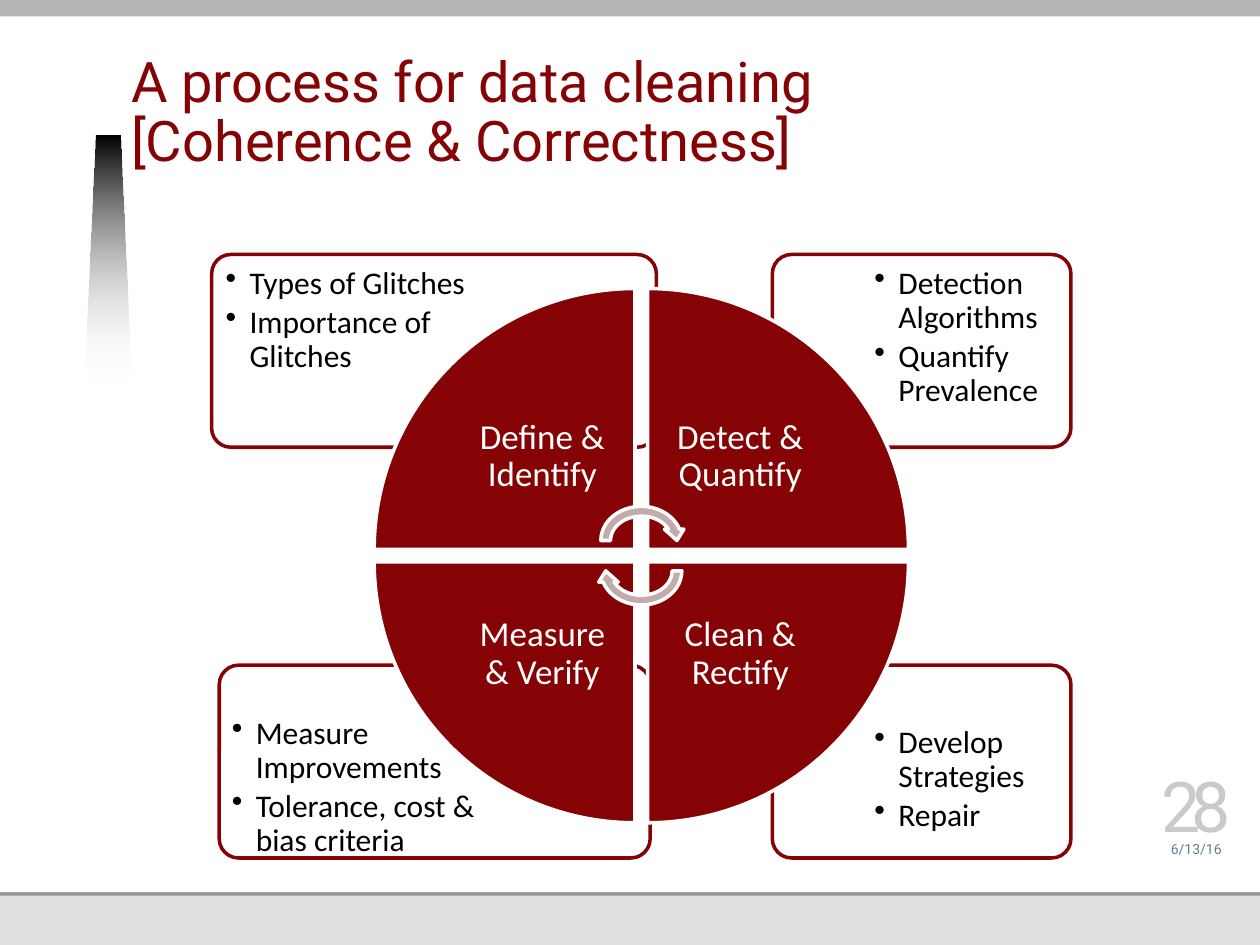
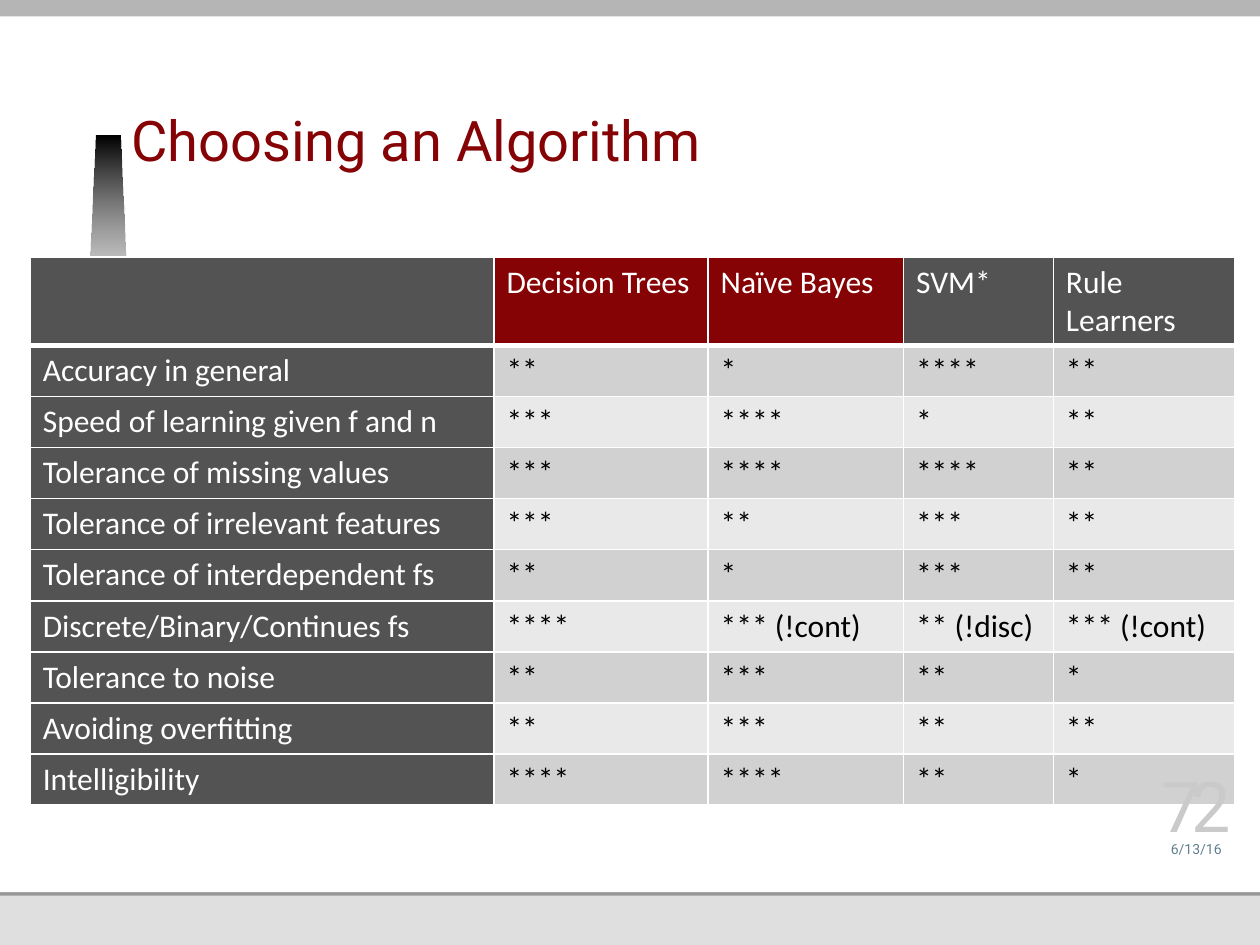
"""Build two slides on data cleaning and on choosing an algorithm."""
from dataclasses import dataclass

from lxml import etree
from pptx import Presentation
from pptx import util as u
from pptx.dml.color import RGBColor
from pptx.enum import shapes, text
from pptx.oxml.ns import qn

PX = u.Inches(1) // 100
KIND = shapes.MSO_SHAPE


@dataclass(frozen=True)
class Theme:
    """Colours, fonts and type sizes of the deck."""
    accent: str = "850205"
    white: str = "FFFFFF"
    black: str = "000000"
    footer: str = "DFDFDF"
    footer_edge: str = "989898"
    top_band: str = "B5B5B5"
    arrow: str = "C2ABAB"
    heading: str = "535353"
    bands: tuple = ("D1D1D1", "E9E9E9")
    date: str = "618091"
    number: str = "CACACA"
    display: str = "Roboto"
    body: str = "Calibri"
    title_size: int = 32
    body_size: int = 18
    wedge_size: int = 20
    date_size: int = 8
    number_size: int = 40


THEME = Theme()

PANELS = [
    ((613, 528, 237, 153), (687, 569, 159, 108), 7,
     ["Develop Strategies", "Repair"]),
    ((174, 528, 342, 153), (177, 569, 233, 108), 0,
     ["Measure Improvements", "Tolerance, cost & bias criteria"]),
    ((613, 202, 237, 153), (687, 205, 159, 108), 7,
     ["Detection Algorithms", "Quantify Prevalence"]),
    ((168, 202, 353, 153), (172, 205, 241, 108), 7,
     ["Types of Glitches", "Importance of Glitches"]),
]

WEDGES = [
    ("Define & Identify", 0, 0),
    ("Detect & Quantify", 1, 0),
    ("Clean & Rectify", 1, 1),
    ("Measure & Verify", 0, 1),
]

RATINGS = [
    ["", "Decision Trees", "Naïve Bayes", "SVM*", "Rule Learners"],
    ["Accuracy in general", "**", "*", "****", "**"],
    ["Speed of learning given f and n", "***", "****", "*", "**"],
    ["Tolerance of missing values", "***", "****", "****", "**"],
    ["Tolerance of irrelevant features", "***", "**", "***", "**"],
    ["Tolerance of interdependent fs", "**", "*", "***", "**"],
    ["Discrete/Binary/Continues fs", "****", "*** (!cont)", "** (!disc)", "*** (!cont)"],
    ["Tolerance to noise", "**", "***", "**", "*"],
    ["Avoiding overfitting", "**", "***", "**", "**"],
    ["Intelligibility", "****", "****", "**", "*"],
]


def emu(lengths):
    """Turn px lengths into EMU."""
    return [length * PX for length in lengths]


def colour(code):
    """Return the colour for a hex code."""
    return RGBColor.from_string(code)


def set_font(para, face, size, code):
    """Set the font of a whole paragraph."""
    para.font.name = face
    para.font.size = u.Pt(size)
    para.font.color.rgb = colour(code)


def set_alpha(shape, percent):
    """Set the opacity of the last colour in a shape's fill."""
    last = list(shape._element.spPr.iter(qn("a:srgbClr")))[-1]
    etree.SubElement(last, qn("a:alpha")).set("val", str(percent * 1000))


def add_block(page, kind, place, fill, line=None, rotation=0, alpha=100):
    """Add a filled preset shape, outlined if a line colour is given."""
    shape = page.shapes.add_shape(kind, *emu(place))
    shape.shadow.inherit = False
    shape.rotation = rotation
    shape.fill.solid()
    shape.fill.fore_color.rgb = colour(fill)
    if alpha < 100:
        set_alpha(shape, alpha)
    if line:
        shape.line.color.rgb = colour(line)
        shape.line.width = u.Pt(2)
    else:
        shape.line.fill.background()
    return shape


def add_frame(page, place, insets, anchor=text.MSO_ANCHOR.TOP):
    """Add a wrapping text box and return its text frame."""
    frame = page.shapes.add_textbox(*emu(place)).text_frame
    frame.word_wrap = True
    frame.vertical_anchor = anchor
    (frame.margin_left, frame.margin_top,
     frame.margin_right, frame.margin_bottom) = emu(insets)
    return frame


def add_label(page, place, words, face, size, code, anchor, inset=0):
    """Add a centred one-paragraph label and return the paragraph."""
    para = add_frame(page, place, [inset] * 4, anchor).paragraphs[0]
    para.text = words
    para.alignment = text.PP_ALIGN.CENTER
    set_font(para, face, size, code)
    return para


def add_bullets(page, place, top_inset, items):
    """Add a bulleted list."""
    frame = add_frame(page, place, (7, top_inset, 7, 7))
    for index, item in enumerate(items):
        para = frame.add_paragraph() if index else frame.paragraphs[0]
        para.text = item
        para.line_spacing = 0.9
        para.space_after = u.Pt(3)
        props = para._p.get_or_add_pPr()
        props.set("marL", str(19 * PX))
        props.set("indent", str(-19 * PX))
        etree.SubElement(props, qn("a:buChar")).set("char", "•")
        set_font(para, THEME.body, THEME.body_size, THEME.black)


def add_beam(page):
    """Add the tapering gradient beside the title."""
    builder = page.shapes.build_freeform(67, 305, PX)
    builder.add_line_segments([(76, 108), (95, 108), (104, 305)])
    beam = builder.convert_to_shape()
    beam.shadow.inherit = False
    beam.line.fill.background()
    beam.fill.gradient()
    beam.fill.gradient_angle = 270
    for stop, code in zip(beam.fill.gradient_stops, (THEME.black, THEME.white)):
        stop.color.rgb = colour(code)
    set_alpha(beam, 0)


def add_page(deck, title):
    """Add a page with the shared bands, beam and title."""
    page = deck.slides.add_slide(deck.slide_layouts[6])
    for place, fill in [
        ((0, 0, 1000, 750), THEME.footer),
        ((0, 178, 1000, 533), THEME.footer_edge),
        ((0, 0, 1000, 708), THEME.white),
    ]:
        add_block(page, KIND.RECTANGLE, place, fill)
    add_beam(page)
    add_block(page, KIND.RECTANGLE, (0, -4, 1017, 17), THEME.top_band)
    frame = add_frame(page, (104, 34, 687, 108), (0, 0, 0, 5), text.MSO_ANCHOR.BOTTOM)
    para = frame.paragraphs[0]
    para.text = title
    para.line_spacing = u.Pt(34)
    set_font(para, THEME.display, THEME.title_size, THEME.accent)
    return page


def add_footer(page, number):
    """Add the date and the page number."""
    bottom = text.MSO_ANCHOR.BOTTOM
    add_label(page, (913, 658, 73, 22), "6/13/16", THEME.display,
              THEME.date_size, THEME.date, bottom)
    para = add_label(page, (913, 616, 73, 56), number, THEME.display,
                     THEME.number_size, THEME.number, bottom)
    para.font._rPr.set("spc", "-500")


def add_wedge(page, words, column, row):
    """Add one quarter of the wheel and its label."""
    size, label, pitch = 207, 147, 217
    left, top = 297 + column * pitch, 229 + row * pitch
    turn = 180 + 90 * (1 - column) if row else 90 * column
    add_block(page, KIND.PIE_WEDGE, (left, top, size, size),
              THEME.accent, THEME.white, turn)
    inward = size - label
    place = (left + inward * (1 - column), top + inward * (1 - row), label, label)
    para = add_label(page, place, words, THEME.body, THEME.wedge_size,
                     THEME.white, text.MSO_ANCHOR.MIDDLE, 16)
    para.line_spacing = 0.9


def add_wheel(page):
    """Add the four panels, the wheel and its turning arrows."""
    for place, list_place, top_inset, items in PANELS:
        panel = add_block(page, KIND.ROUNDED_RECTANGLE, place, THEME.white,
                          THEME.accent, alpha=90)
        panel.adjustments[0] = 0.1
        add_bullets(page, list_place, top_inset, items)
    for wedge in WEDGES:
        add_wedge(page, *wedge)
    for top, turn in ((398, 0), (422, 180)):
        add_block(page, KIND.CIRCULAR_ARROW, (473, top, 72, 62),
                  THEME.arrow, THEME.white, turn)


def add_borders(cell):
    """Give a heading cell white borders with a thick lower edge."""
    props = cell._tc.get_or_add_tcPr()
    for side, points in (("L", 1), ("R", 1), ("T", 1), ("B", 3)):
        line = etree.SubElement(props, qn(f"a:ln{side}"))
        line.set("w", str(u.Pt(points)))
        fill = etree.SubElement(line, qn("a:solidFill"))
        etree.SubElement(fill, qn("a:srgbClr")).set("val", THEME.white)


def cell_fill(row, column):
    """Choose the fill of a table cell."""
    if row == 0 and column in (1, 2):
        return THEME.accent
    if row == 0 or column == 0:
        return THEME.heading
    return THEME.bands[(row - 1) % 2]


def add_ratings(page):
    """Add the table that rates the algorithms."""
    widths, header, height = (368, 170, 155, 119, 144), 70, 435
    place = (24, 204, sum(widths), height)
    table = page.shapes.add_table(len(RATINGS), len(widths), *emu(place)).table
    table.first_row = table.horz_banding = False
    for column, width in zip(table.columns, widths):
        column.width = width * PX
    for row in table.rows:
        row.height = (height - header) * PX // (len(RATINGS) - 1)
    table.rows[0].height = header * PX
    for r, ratings in enumerate(RATINGS):
        for c, words in enumerate(ratings):
            cell = table.cell(r, c)
            if r == 0:
                add_borders(cell)
            cell.fill.solid()
            cell.fill.fore_color.rgb = colour(cell_fill(r, c))
            cell.text = words
            code = THEME.black if r and c else THEME.white
            set_font(cell.text_frame.paragraphs[0], THEME.body, THEME.body_size, code)


def main():
    """Build and save the deck."""
    deck = Presentation()
    deck.slide_width, deck.slide_height = emu((1000, 750))
    page = add_page(deck, "A process for data cleaning [Coherence & Correctness]")
    add_wheel(page)
    add_footer(page, "28")
    page = add_page(deck, "Choosing an Algorithm")
    add_ratings(page)
    add_footer(page, "72")
    deck.save("out.pptx")


if __name__ == "__main__":
    main()
